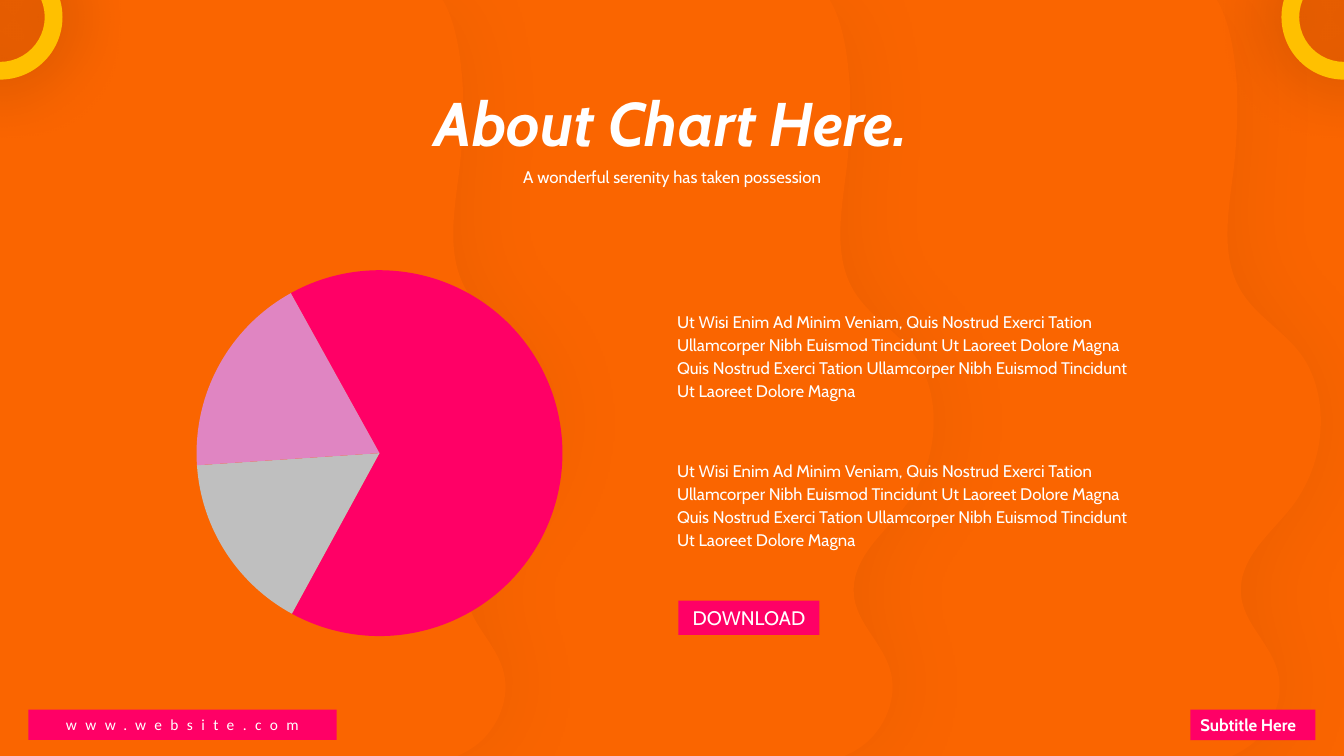
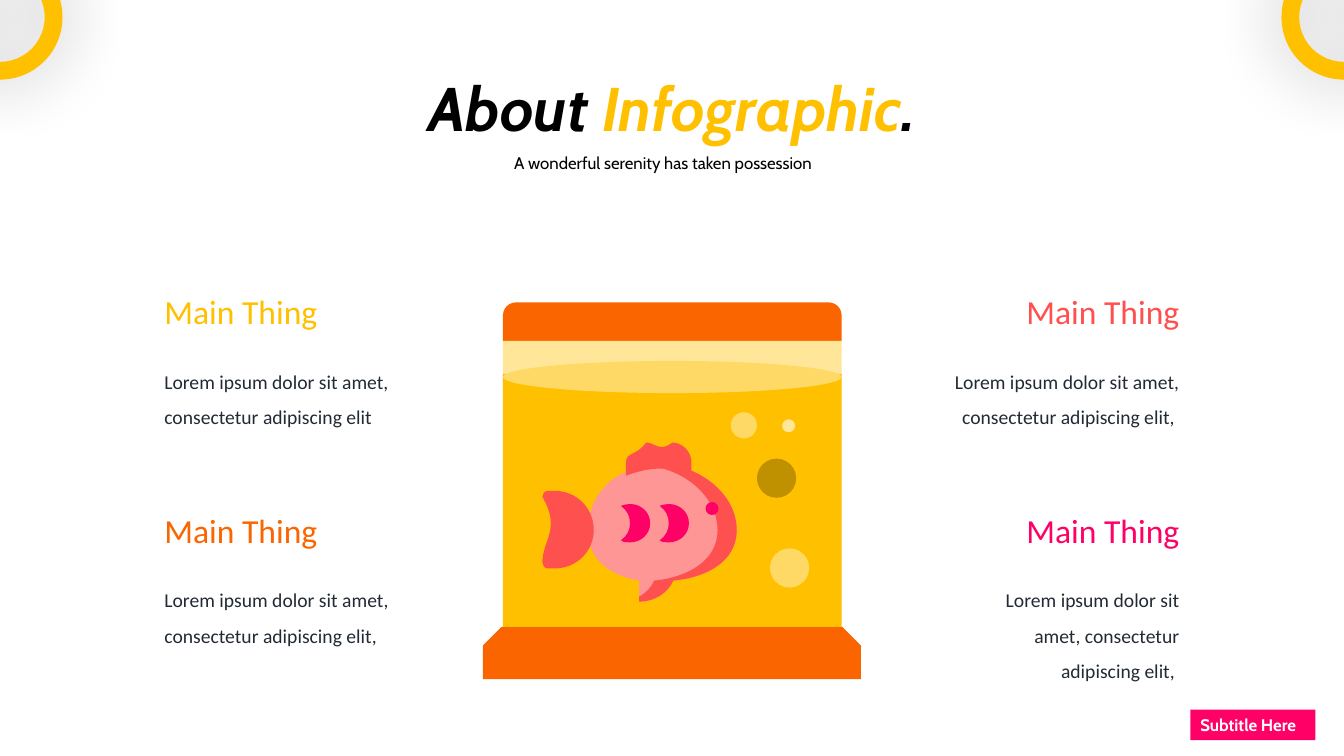
from lxml import etree
from pptx import Presentation
from pptx.chart.data import CategoryChartData
from pptx.dml.color import RGBColor
from pptx.enum.chart import XL_CHART_TYPE
from pptx.enum.shapes import MSO_SHAPE
from pptx.enum.text import MSO_ANCHOR, MSO_AUTO_SIZE, PP_ALIGN
from pptx.oxml import parse_xml
from pptx.oxml.ns import nsdecls, qn
from pptx.util import Pt

PIE = XL_CHART_TYPE.PIE
RECTANGLE, OVAL, DONUT = MSO_SHAPE.RECTANGLE, MSO_SHAPE.OVAL, MSO_SHAPE.DONUT
LID, BASE = MSO_SHAPE.ROUND_2_SAME_RECTANGLE, MSO_SHAPE.SNIP_2_SAME_RECTANGLE
TOP, MIDDLE = MSO_ANCHOR.TOP, MSO_ANCHOR.MIDDLE
FIXED, GROW = MSO_AUTO_SIZE.NONE, MSO_AUTO_SIZE.SHAPE_TO_FIT_TEXT
LEFT, CENTER, RIGHT = PP_ALIGN.LEFT, PP_ALIGN.CENTER, PP_ALIGN.RIGHT

SLIDE_WIDTH, SLIDE_HEIGHT = 960, 540
COLORS = {
    "orange": "FA6500", "yellow": "FFC000", "pink": "FF0066", "coral": "FF5050",
    "salmon": "FF9696", "violet": "E085C2", "gray": "BFBFBF", "brown": "BF9000",
    "sand": "FFD966", "cream": "FFE699", "slate": "222A35", "white": "FFFFFF", "black": "000000",
}
TITLE_FONT = {"name": "Cabin", "size": Pt(44), "bold": True, "italic": True}
TEXT_FONT = {"name": "Cabin", "size": Pt(12)}
TAG_FONT = {**TEXT_FONT, "bold": True}
BUTTON_FONT = {"name": "Cabin", "size": Pt(14)}
WEBSITE_FONT = {"name": "Calibri", "size": Pt(11)}
HEADING_FONT = {"name": "Calibri", "size": Pt(24)}
BODY_FONT = {"name": "Calibri", "size": Pt(14)}

FRAME = {"word_wrap": True, "auto_size": FIXED, "vertical_anchor": TOP}
GROWING = {**FRAME, "auto_size": GROW}
UNWRAPPED = {**GROWING, "word_wrap": False}
NO_MARGINS = {f"margin_{side}": 0 for side in ("left", "top", "right", "bottom")}

WAVE_STEP = 276.5
WAVE = """M 316.1 0 L 0 0 L 0 540 L 326.9 540 L 329.8 538.6
C 331.9 537.8 334.1 536.4 336.2 535 C 352.8 524.9 365 501.8 360 481
C 355 459.4 334.8 445.7 333.4 424.1 C 331.9 401 350.6 384.5 364.3 368.6
C 377.3 354.2 386.6 335.5 389.5 314.6 C 392.4 293.8 388.8 272.2 378 255.6
C 364.3 235.4 342 225.4 331.2 203.8 C 319 179.3 324.7 149 328.3 120.2
C 330.5 100.8 331.2 79.9 330.5 60.5 C 329 40.3 326.2 18.7 317.5 2.2"""
FISH_BODY = """M 526.3 378.7 C 526.3 401 504.7 412.6 481 414.7
C 476.6 424.1 467.3 429.8 456.5 429.8 L 456.5 414.7
C 435.6 411.1 419.8 399.6 419.8 378.7 C 419.8 360 430.6 344.2 447.1 337
C 455 333.4 463 331.9 470.9 331.9 C 478.8 331.9 486.7 333.4 493.9 336.2
C 512.6 344.2 526.3 360 526.3 378.7"""
FISH_FACE = """M 493.9 336.2 C 486.7 333.4 478.8 331.9 470.9 331.9
C 468.7 331.9 465.8 331.9 463.7 332.6 C 469.4 333.4 474.5 334.8 480.2 337
C 498.2 344.2 512.6 360 512.6 378.7 C 512.6 401 490.3 412.6 467.3 414.7
C 465.1 419.8 461.5 423.4 456.5 426.2 L 456.5 429.8
C 467.3 429.8 476.6 424.1 481 414.7 C 504.7 412.6 526.3 401 526.3 378.7
C 526.3 360 512.6 344.2 493.9 336.2"""
FISH_TAIL = """M 391.7 406.1 L 396 406.1 C 411.8 406.1 424.1 393.8 424.1 378.7
C 424.1 362.9 411.8 350.6 396 350.6 L 391.7 350.6
C 388.8 350.6 387.4 352.8 387.4 355 C 401 378 387.4 385.9 387.4 401.8
C 387.4 403.9 388.8 406.1 391.7 406.1"""
FISH_FIN = """M 493.9 330.5 L 493.9 339.8 C 486.7 336.2 478.8 334.8 470.9 334.8
C 463 334.8 455 337 447.1 339.8 L 447.1 330.5
C 447.1 322.6 454.3 326.2 461.5 316.1 C 467.3 316.1 471.6 323.3 480.2 316.1
C 487.4 316.1 493.9 322.6 493.9 330.5"""
FISH_SCALE = """M 450 360 C 447.8 360 445 360.7 443.5 361.4
C 447.8 364.3 450 368.6 450 373.7 C 450 378.7 447.8 383 443.5 385.9
C 445 387.4 447.8 387.4 450 387.4 C 457.9 387.4 464.4 381.6 464.4 373.7
C 464.4 365.8 457.9 360 450 360"""


def rgb(color):
    """Return the named colour."""
    return RGBColor.from_string(COLORS[color])


def apply_format(target, values):
    """Set each attribute of the target from a dict."""
    for name, value in values.items():
        setattr(target, name, value)


def paint(shape, color):
    """Give a shape a plain fill without line or shadow."""
    shape.fill.solid()
    shape.fill.fore_color.rgb = rgb(color)
    shape.line.fill.background()
    shape.shadow.inherit = False


def add_soft_shadow(shape, opacity, blur, distance):
    """Put a soft black outer shadow on a shape."""
    effects = shape.element.spPr.find(qn("a:effectLst"))
    effects.append(parse_xml(
        f'<a:outerShdw {nsdecls("a")} blurRad="{Pt(blur)}" dist="{Pt(distance)}" dir="0"'
        f' algn="ctr" rotWithShape="0"><a:srgbClr val="{COLORS["black"]}">'
        f'<a:alpha val="{opacity * 1000}"/></a:srgbClr></a:outerShdw>'))


def write_text(shape, runs, font, frame=FRAME, **paragraph_format):
    """Write one paragraph of (text, colour) runs into a shape."""
    apply_format(shape.text_frame, frame)
    paragraph = shape.text_frame.paragraphs[0]
    apply_format(paragraph, paragraph_format)
    for text, color in runs:
        run = paragraph.add_run()
        run.text = text
        apply_format(run.font, font)
        run.font.color.rgb = rgb(color)


def add_text(slide, box, runs, font, frame=FRAME, **paragraph_format):
    """Add a text box."""
    text_box = slide.shapes.add_textbox(*map(Pt, box))
    write_text(text_box, runs, font, frame, **paragraph_format)


def add_block(slide, kind, box, color, adjustments=()):
    """Add a painted preset shape."""
    shape = slide.shapes.add_shape(kind, *map(Pt, box))
    for index, value in enumerate(adjustments):
        shape.adjustments[index] = value
    paint(shape, color)
    return shape


def parse_outline(outline, shift):
    """Return the point list of every step of an outline."""
    steps = []
    for token in outline.split():
        if token.isalpha():
            steps.append([])
        else:
            steps[-1].append(float(token))
    return [[(Pt(x + shift), Pt(y)) for x, y in zip(step[::2], step[1::2])] for step in steps]


def add_outline(shapes, outline, color, shift=0):
    """Add a closed freeform with straight and curved edges."""
    steps = parse_outline(outline, shift)
    builder = shapes.build_freeform(*steps[0][0], scale=1.0)
    builder.add_line_segments([step[-1] for step in steps[1:]], close=True)
    shape = builder.convert_to_shape()
    edges = list(shape.element.iter(qn("a:lnTo")))
    for edge, step in zip(edges, steps[1:]):
        if len(step) == 3:
            curve = etree.Element(qn("a:cubicBezTo"))
            for x, y in step:
                etree.SubElement(curve, qn("a:pt"), x=str(x - shape.left), y=str(y - shape.top))
            edge.getparent().replace(edge, curve)
    paint(shape, color)
    return shape


def add_slide(presentation, background, title, title_box, subtitle_box, text_color):
    """Add a title-only slide with its heading texts."""
    slide = presentation.slides.add_slide(presentation.slide_layouts[5])
    slide.background.fill.solid()
    slide.background.fill.fore_color.rgb = rgb(background)
    names = ("left", "top", "width", "height")
    apply_format(slide.shapes.title, dict(zip(names, map(Pt, title_box))))
    write_text(slide.shapes.title, title, TITLE_FONT, GROWING, alignment=CENTER)
    add_text(slide, subtitle_box, [("A wonderful serenity has taken possession", text_color)],
             TEXT_FONT, GROWING, alignment=CENTER, line_spacing=1.5)
    return slide


def add_label(slide, box, text, font, frame, alignment):
    """Add a pink label with white text."""
    label = add_block(slide, RECTANGLE, box, "pink")
    write_text(label, [(text, "white")], font, frame, alignment=alignment)
    return label


def add_corners(slide):
    """Add the subtitle tag and the two corner rings."""
    add_label(slide, (850.3, 506.9, 89.3, 21.8), "Subtitle Here", TAG_FONT, UNWRAPPED, LEFT)
    size = 89.3
    for center in (0, SLIDE_WIDTH):
        ring = add_block(slide, DONUT, (center - size / 2, -32.4, size, size), "yellow", [0.142])
        add_soft_shadow(ring, 33, 49, 0)


def add_waves(slide):
    """Add the overlapping background waves, right one first."""
    group = slide.shapes.add_group_shape()
    for index in (2, 1, 0):
        wave = add_outline(group.shapes, WAVE, "orange", index * WAVE_STEP)
        add_soft_shadow(wave, 5, 66, 3)


def add_pie(slide, box, slices, first_angle):
    """Add a pie chart that fills its frame."""
    data = CategoryChartData()
    data.categories = [name for name, _, _ in slices]
    data.add_series("Share", [value for _, value, _ in slices])
    chart = slide.shapes.add_chart(PIE, *map(Pt, box), data).chart
    apply_format(chart, {"has_title": False, "has_legend": False})
    apply_format(chart.font, TEXT_FONT)
    chart.font.color.rgb = rgb("white")
    plot = chart.plots[0]
    plot.vary_by_categories = True
    for index, (_, _, color) in enumerate(slices):
        point_format = plot.series[0].points[index].format
        point_format.fill.solid()
        point_format.fill.fore_color.rgb = rgb(color)
        point_format.line.fill.background()
    space = chart.element
    pie = next(space.iter(qn("c:pieChart")))
    for angle in pie.findall(qn("c:firstSliceAng")):
        pie.remove(angle)
    etree.SubElement(pie, qn("c:firstSliceAng"), val=str(first_angle))
    area = pie.getparent()
    for layout in area.findall(qn("c:layout")):
        area.remove(layout)
    settings = {"layoutTarget": "inner", "xMode": "edge", "yMode": "edge",
                "x": "0", "y": "0", "w": "1", "h": "1"}
    layout = etree.Element(qn("c:layout"))
    manual = etree.SubElement(layout, qn("c:manualLayout"))
    for name, value in settings.items():
        etree.SubElement(manual, qn(f"c:{name}"), val=value)
    area.insert(0, layout)
    space.find(qn("c:chart")).addnext(parse_xml(
        f'<c:spPr {nsdecls("c", "a")}><a:noFill/><a:ln><a:noFill/></a:ln></c:spPr>'))


def add_tank(slide):
    """Add the tank with its rippled water."""
    left, width, surface, floor = 359.3, 241.9, 267.1, 447.8
    add_block(slide, BASE, (344.9, floor, 270, 37.4), "orange", [0.355, 0])
    add_block(slide, LID, (left, 216, width, 27.7), "orange", [0.333, 0])
    add_block(slide, RECTANGLE, (left, 243.4, width, 32.4), "cream")
    half = width / 6
    water = f"M {left + width} {surface} L {left + width} {floor} L {left} {floor} L {left} {surface}"
    for index in range(6):
        x = left + index * half
        start, end = (surface, 275.8) if index % 2 == 0 else (275.8, surface)
        water += f" C {x + half / 2} {start} {x + half / 2} {end} {x + half} {end}"
    add_outline(slide.shapes, water, "yellow")
    add_block(slide, OVAL, (left, 257.8, width, 23), "sand")


def add_fish(slide):
    """Add the fish and its bubbles."""
    for outline, color in ((FISH_BODY, "salmon"), (FISH_FACE, "coral"),
                           (FISH_TAIL, "coral"), (FISH_FIN, "coral")):
        add_outline(slide.shapes, outline, color)
    for shift in (0, 27.7):
        add_outline(slide.shapes, FISH_SCALE, "pink", shift)
    for x, y, size, color in ((540.7, 327.6, 28, "brown"), (522, 294.5, 18.7, "sand"),
                              (558.7, 299.5, 9.3, "cream"), (550, 391.7, 28, "sand"),
                              (504, 358.6, 9.3, "pink")):
        add_block(slide, OVAL, (x, y, size, size), color)


def add_topic(slide, row, alignment, color, body, body_width):
    """Add a heading and body at the left or right margin."""
    top = 208.1 + row * 156.2
    for offset, width, height, text, text_color, font, frame, spacing in (
            (0, 121, 28.8, "Main Thing", color, HEADING_FONT, UNWRAPPED, 1.0),
            (47.5, body_width, 73.4, body, "slate", BODY_FONT, GROWING, 1.5)):
        left = 117.4 if alignment == LEFT else 842.4 - width
        add_text(slide, (left, top + offset, width, height), [(text, text_color)], font,
                 {**frame, **NO_MARGINS}, alignment=alignment, line_spacing=spacing)


def add_chart_slide(presentation):
    """Build the slide with the pie chart."""
    slide = add_slide(presentation, "orange", [("About Chart Here.", "white")],
                      (242.6, 56.9, 474.5, 60.5), (321.1, 108.7, 318.2, 26.6), "white")
    add_waves(slide)
    tree = slide.shapes.title.element.getparent()
    tree.insert(2, tree[-1])
    add_pie(slide, (140.4, 193, 261.4, 261.4),
            [("A", 66, "pink"), ("B", 16, "gray"), ("C", 18, "violet")], 331)
    sentence = ("Ut Wisi Enim Ad Minim Veniam, Quis Nostrud Exerci Tation Ullamcorper Nibh "
                "Euismod Tincidunt Ut Laoreet Dolore Magna")
    body = sentence + sentence[sentence.index(" Quis"):]
    for top in (217.4, 323.3):
        add_text(slide, (476.6, top, 342.7, 72.7), [(body, "white")], TEXT_FONT,
                 line_spacing=1.14, space_before=Pt(10))
    add_label(slide, (484.6, 429.1, 100.8, 24.5), "DOWNLOAD", BUTTON_FONT, GROWING, CENTER)
    website = add_label(slide, (20.2, 506.9, 220.3, 21.6), "www.website.com", WEBSITE_FONT,
                        {**FRAME, "vertical_anchor": MIDDLE}, CENTER)
    for properties in website.element.iter(qn("a:rPr")):
        properties.set("spc", "600")
    add_corners(slide)


def add_infographic_slide(presentation):
    """Build the slide with the fish tank."""
    title = [("About ", "black"), ("Infographic", "yellow"), (".", "black")]
    slide = add_slide(presentation, "white", title,
                      (170.6, 46.1, 619.2, 60.5), (314.6, 98.6, 318.2, 26.6), "black")
    add_tank(slide)
    add_fish(slide)
    body = "Lorem ipsum dolor sit amet, consectetur adipiscing elit"
    for row, alignment, color, ending, width in (
            (0, LEFT, "yellow", "", 163.4), (1, LEFT, "orange", ",", 169.2),
            (0, RIGHT, "coral", ", ", 169.2), (1, RIGHT, "pink", ", ", 160.2)):
        add_topic(slide, row, alignment, color, body + ending, width)
    add_corners(slide)


def main():
    """Build and save the presentation."""
    presentation = Presentation()
    presentation.slide_width, presentation.slide_height = Pt(SLIDE_WIDTH), Pt(SLIDE_HEIGHT)
    add_chart_slide(presentation)
    add_infographic_slide(presentation)
    presentation.save("out.pptx")


if __name__ == "__main__":
    main()
